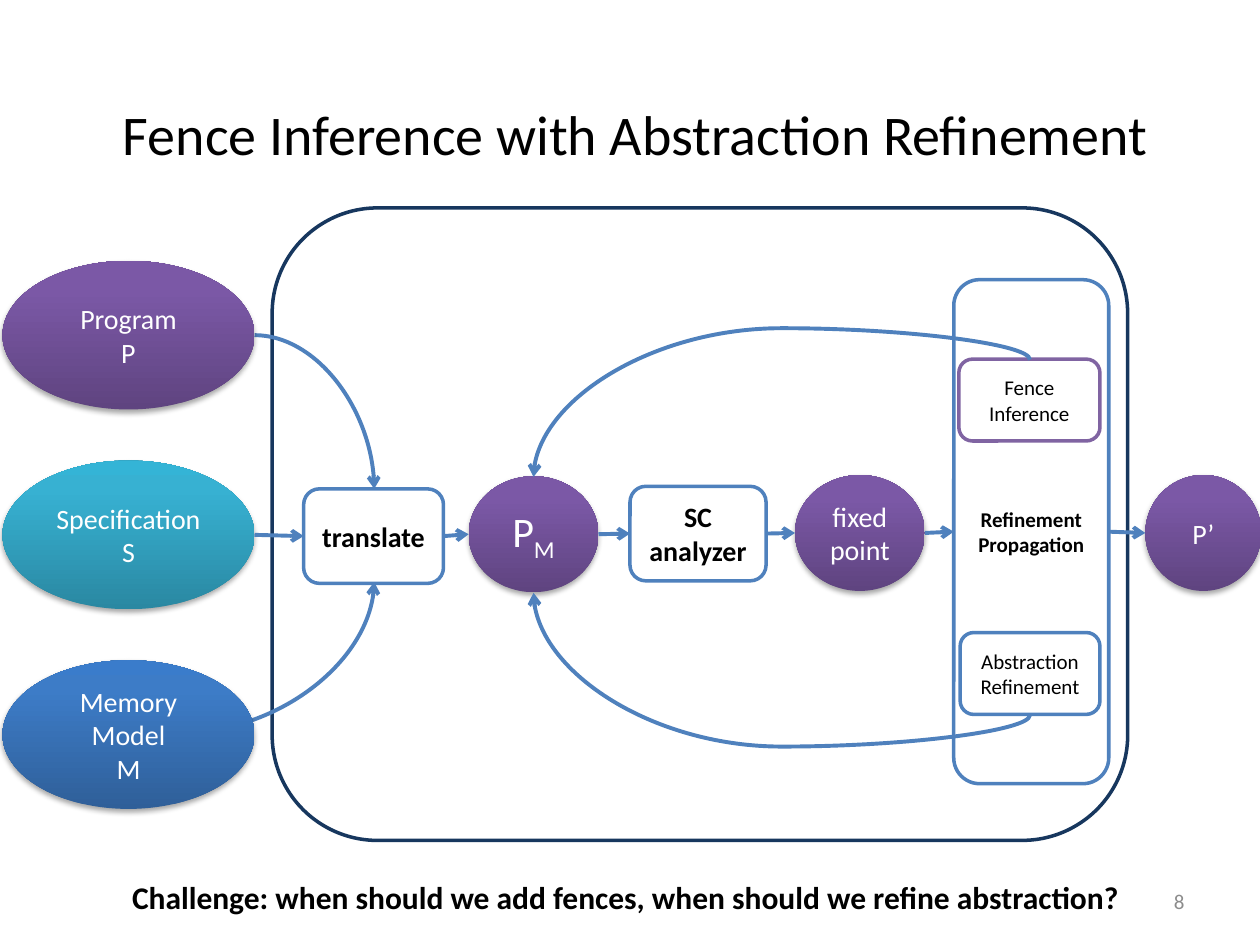
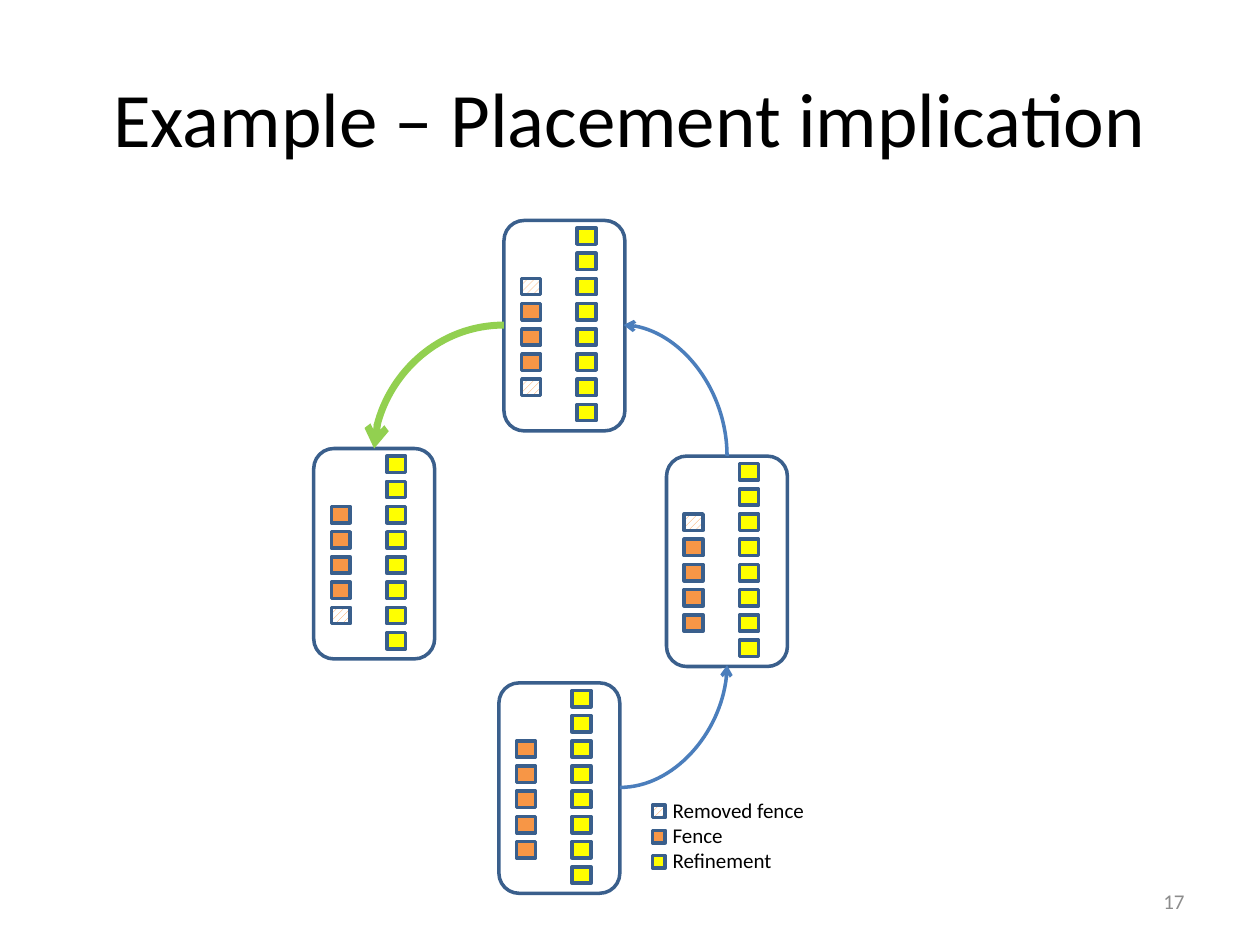
"""Two slides on fence inference: the refinement loop and an example of placement implication."""
import copy

import lxml.etree
import pptx
import pptx.dml.color
import pptx.enum.dml
import pptx.enum.shapes
import pptx.enum.text
import pptx.oxml.ns
import pptx.util

Inches = pptx.util.Inches
RGB = pptx.dml.color.RGBColor.from_string
qn = pptx.oxml.ns.qn
ALIGN = pptx.enum.text.PP_ALIGN
ROUNDED = pptx.enum.shapes.MSO_SHAPE.ROUNDED_RECTANGLE
OVAL = pptx.enum.shapes.MSO_SHAPE.OVAL
SQUARE = pptx.enum.shapes.MSO_SHAPE.RECTANGLE
STRAIGHT = pptx.enum.shapes.MSO_CONNECTOR.STRAIGHT
CURVE = pptx.enum.shapes.MSO_CONNECTOR.CURVE

FONT = "Calibri"
COLORS = {
    "black": "000000", "white": "FFFFFF", "number": "8C8C8C",
    "frame": "17375E", "blue": "4F81BD", "purple": "8064A2",
    "outline": "3A5F8C", "step": "4B7EBC", "implied": "92D050",
    "fence": "F79646", "refinement": "FFFF00",
}
GRADIENTS = {
    "purple": ("5F4480", "7B58A6", "7C57A8"),
    "teal": ("2A88A2", "37B1D2", "34B4D6"),
    "blue": ("2F5F99", "3D7CC7", "3A7CCB"),
}


def place(shapes, kind, box, text="", size=16, color="black", bold=False,
          align=ALIGN.CENTER, fill=None, line=None, wrap=True):
    """Add a preset shape, or a text box when kind is None."""
    lengths = [Inches(value) for value in box]
    if kind is None:
        part = shapes.add_textbox(*lengths)
    else:
        part = shapes.add_shape(kind, *lengths)
        part.shadow.inherit = False
        part.fill.background()
        part.line.fill.background()
    if fill == "removed":
        part.fill.patterned()
        part.fill.pattern = pptx.enum.dml.MSO_PATTERN.WIDE_UPWARD_DIAGONAL
        part.fill.fore_color.rgb = RGB(COLORS["fence"])
        part.fill.back_color.rgb = RGB(COLORS["white"])
    elif fill in GRADIENTS:
        part.fill.gradient()
        part.fill.gradient_angle = 90
        stops = part.fill._fill._gradFill.find(qn("a:gsLst"))
        stops.append(copy.deepcopy(stops[-1]))
        for stop, position, shade in zip(part.fill.gradient_stops, (0, 0.8, 1), GRADIENTS[fill]):
            stop.position = position
            stop.color.rgb = RGB(shade)
        effects = part._element.spPr.find(qn("a:effectLst"))
        shadow = lxml.etree.SubElement(effects, qn("a:outerShdw"), blurRad="40000",
                                       dist="23000", dir="5400000", rotWithShape="0")
        tint = lxml.etree.SubElement(shadow, qn("a:srgbClr"), val=COLORS["black"])
        lxml.etree.SubElement(tint, qn("a:alpha"), val="35000")
    elif fill:
        part.fill.solid()
        part.fill.fore_color.rgb = RGB(COLORS[fill])
    if line:
        part.line.color.rgb = RGB(COLORS[line])
        part.line.width = pptx.util.Pt(2)
    if text:
        frame = part.text_frame
        frame.text = text
        frame.word_wrap = wrap
        middle = pptx.enum.text.MSO_ANCHOR.MIDDLE
        frame.vertical_anchor = middle if wrap else pptx.enum.text.MSO_ANCHOR.TOP
        for paragraph in frame.paragraphs:
            paragraph.alignment = align
            for run in paragraph.runs:
                run.font.name = FONT
                run.font.size = pptx.util.Pt(size)
                run.font.bold = bold
                run.font.color.rgb = RGB(COLORS[color])
    return part


def link(slide, kind, start, end, color="blue", width=2.25, arrow="tailEnd", turn=0, bend=None):
    """Add an arrow; a curve without a bend is a quarter turn that leaves sideways."""
    arc = slide.shapes.add_connector(kind, *[Inches(value) for value in (*start, *end)])
    arc.line.color.rgb = RGB(COLORS[color])
    arc.line.width = pptx.util.Pt(width)
    properties = arc._element.spPr
    lxml.etree.SubElement(properties.find(qn("a:ln")), qn(f"a:{arrow}"), type="arrow")
    lxml.etree.SubElement(properties, qn("a:effectLst"))
    geometry = properties.find(qn("a:prstGeom"))
    if bend is not None:
        properties.find(qn("a:xfrm")).set("rot", str(turn * 60000))
        lxml.etree.SubElement(geometry.find(qn("a:avLst")), qn("a:gd"),
                              name="adj1", fmla=f"val {bend}")
    elif kind == CURVE:
        geometry.set("prst", "curvedConnector2")
    return arc


deck = pptx.Presentation()
deck.slide_width, deck.slide_height = Inches(10), Inches(7.5)

pages = []
for title, title_box, title_size, number in (
    ("Fence Inference with Abstraction Refinement", (0.42, 0.56, 9.25, 1), 32, "8"),
    ("Example – Placement implication", (0.5, 0.3, 9, 1.25), 44, "17"),
):
    page = deck.slides.add_slide(deck.slide_layouts[6])
    place(page.shapes, None, title_box, title, title_size)
    place(page.shapes, None, (7.17, 6.95, 2.33, 0.4), number, 12, "number", align=ALIGN.RIGHT)
    pages.append(page)
loop, example = pages

place(loop.shapes, ROUNDED, (2.16, 1.65, 6.79, 5.02), line="frame")
link(loop, CURVE, (1.41, 5.82), (2.97, 4.62))
link(loop, CURVE, (2.02, 2.66), (2.97, 3.88))

inputs = []
for row, (label, shade) in enumerate((("Program\nP", "purple"), ("Specification\nS", "teal"),
                                      ("Memory Model\nM", "blue"))):
    inputs.append(place(loop.shapes, OVAL, (0.02, 2.07 + 1.585 * row, 2, 1.18),
                        label, color="white", fill=shade))

stages = [inputs[1]]
for kind, box, label, size in (
    (ROUNDED, (2.41, 3.88, 1.11, 0.75), "translate", 16),
    (OVAL, (3.72, 3.78, 1.03, 0.92), "P", 24),
    (ROUNDED, (5, 3.86, 1.08, 0.75), "SC analyzer", 16),
    (OVAL, (6.31, 3.77, 1.03, 0.92), "fixed\vpoint", 16),
    (ROUNDED, (7.57, 2.22, 1.23, 4), "Refinement Propagation", 12),
    (OVAL, (9.09, 3.77, 0.92, 0.92), "P’", 16),
):
    if kind == OVAL:
        stage = place(loop.shapes, kind, box, label, size, "white", fill="purple")
    else:
        stage = place(loop.shapes, kind, box, label, size, bold=True, fill="white", line="blue")
    stages.append(stage)

program_model = stages[2].text_frame.paragraphs[0]
subscript = program_model.add_run()
subscript.text = "M"
subscript.font.name = FONT
subscript.font.size = pptx.util.Pt(24)
subscript.font.color.rgb = RGB(COLORS["white"])
subscript.font._element.set("baseline", "-25000")

for before, after in zip(stages, stages[1:]):
    flow = link(loop, STRAIGHT,
                ((before.left + before.width).inches if hasattr(before.left + before.width, "inches")
                 else (before.left + before.width) / Inches(1),
                 (before.top + before.height / 2) / Inches(1)),
                (after.left / Inches(1), (after.top + after.height / 2) / Inches(1)))
    if before.auto_shape_type == ROUNDED:
        flow.begin_connect(before, 3)
    if after.auto_shape_type == ROUNDED:
        flow.end_connect(after, 1)

for box, label, outline in (((7.61, 2.85, 1.12, 0.65), "Fence Inference", "purple"),
                            ((7.62, 5.02, 1.11, 0.65), "Abstraction\vRefinement", "blue")):
    place(loop.shapes, ROUNDED, box, label, 12, fill="white", line=outline)
link(loop, CURVE, (6.67, 5.29), (5.74, 1.35), turn=270, bend=-26900)
link(loop, CURVE, (6.69, 3.22), (5.72, 7.16), turn=90, bend=-25800)

place(loop.shapes, None, (0.95, 6.92, 8.1, 0.4),
      "Challenge: when should we add fences, when should we refine abstraction?",
      18, bold=True, align=ALIGN.LEFT, wrap=False)

for left, top, removed in ((3.96, 5.42, ()), (5.29, 3.62, (0,)),
                           (4, 1.75, (0, 4)), (2.49, 3.56, (4,))):
    state = example.shapes.add_group_shape().shapes
    place(state, ROUNDED, (left, top, 0.96, 1.67), line="outline")
    for row in range(5):
        place(state, SQUARE, (left + 0.14, top + 0.46 + 0.2 * row, 0.15, 0.13),
              fill="removed" if row in removed else "fence", line="outline")
    for row in range(8):
        place(state, SQUARE, (left + 0.58, top + 0.06 + 0.2 * row, 0.15, 0.13),
              fill="refinement", line="outline")

link(example, CURVE, (4.92, 6.25), (5.77, 5.28), "step", 2)
link(example, CURVE, (4.95, 2.58), (5.77, 3.62), "step", 2, arrow="headEnd")
link(example, CURVE, (4, 2.58), (2.97, 3.56), "implied", 4)

place(example.shapes, None, (5.24, 6.28, 1.26, 0.71), "Removed fence\nFence\nRefinement",
      12, align=ALIGN.LEFT, wrap=False)
for row, meaning in enumerate(("removed", "fence", "refinement")):
    place(example.shapes, SQUARE, (5.18, 6.39 + 0.2 * row, 0.1, 0.1), fill=meaning, line="outline")

deck.save("out.pptx")
